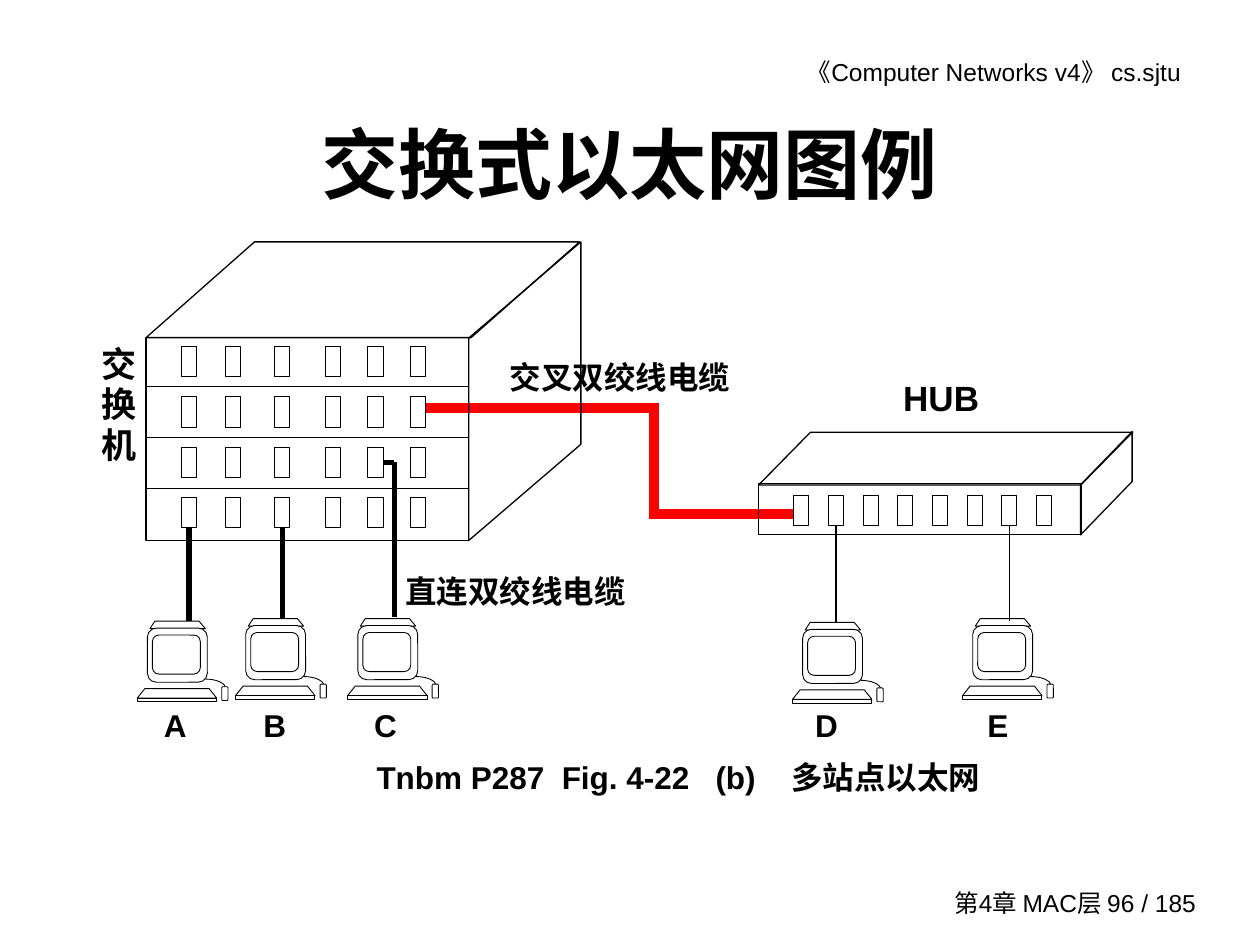
from math import cos, pi, sin

from lxml.etree import SubElement
from pptx import Presentation
from pptx.dml.color import RGBColor
from pptx.enum.shapes import MSO_CONNECTOR, MSO_SHAPE
from pptx.enum.text import MSO_ANCHOR, PP_ALIGN
from pptx.oxml.ns import qn
from pptx.util import Inches, Pt

BLACK = RGBColor(0, 0, 0)
WHITE = RGBColor(255, 255, 255)
RED = RGBColor(255, 0, 0)
COLUMNS, ROWS = 100, 75
BOTTOM, RIGHT = 2, 3


def write_text(frame, text, size=18, bold=True, font="Arial", align=PP_ALIGN.CENTER,
               anchor=MSO_ANCHOR.TOP, margins=(0.1, 0.05), spacing=None, tabs=()):
    """Fill a text frame; margins are in inches, tabs are (EMU, alignment) pairs."""
    frame.word_wrap = True
    frame.vertical_anchor = anchor
    frame.margin_left = frame.margin_right = Inches(margins[0])
    frame.margin_top = frame.margin_bottom = Inches(margins[1])
    paragraph = frame.paragraphs[0]
    paragraph.alignment = align
    if spacing:
        paragraph.line_spacing = spacing
    if tabs:
        tab_list = SubElement(paragraph._p.get_or_add_pPr(), qn("a:tabLst"))
        for position, kind in tabs:
            SubElement(tab_list, qn("a:tab"), pos=str(position), algn=kind)
    run = paragraph.add_run()
    run.text = text
    run.font.name, run.font.size, run.font.bold = font, Pt(size), bold
    run.font.color.rgb = BLACK


class Diagram:
    """Draws on one slide, with all lengths in grid columns and rows."""

    def __init__(self, presentation):
        self.slide = presentation.slides.add_slide(presentation.slide_layouts[5])
        self.shapes = self.slide.shapes
        self.column = presentation.slide_width / COLUMNS
        self.row = presentation.slide_height / ROWS

    def x(self, columns):
        return round(columns * self.column)

    def y(self, rows):
        return round(rows * self.row)

    def frame(self, left, top, width, height):
        return self.x(left), self.y(top), self.x(width), self.y(height)

    def title(self, text, box, **style):
        title = self.shapes.title
        title.left, title.top, title.width, title.height = self.frame(*box)
        write_text(title.text_frame, text, **style)

    def label(self, text, box, tabs=(), **style):
        stops = [(self.x(position), kind) for position, kind in tabs]
        write_text(self.shapes.add_textbox(*self.frame(*box)).text_frame, text,
                   tabs=stops, **style)

    def outline(self, shape, weight, fill):
        shape.shadow.inherit = False
        shape.line.color.rgb = BLACK
        shape.line.width = Pt(weight)
        if fill is None:
            shape.fill.background()
        else:
            shape.fill.solid()
            shape.fill.fore_color.rgb = fill
        return shape

    def block(self, box, kind=MSO_SHAPE.RECTANGLE, weight=0.75, fill=None, adjust=None):
        shape = self.shapes.add_shape(kind, *self.frame(*box))
        if adjust is not None:
            shape.adjustments[0] = adjust
        return self.outline(shape, weight, fill)

    def side_face(self, box, adjust):
        """Parallelogram turned to form the right side of a cabinet."""
        face = self.block(box, MSO_SHAPE.PARALLELOGRAM, adjust=adjust)
        face.rotation = 90
        face.element.spPr.find(qn("a:xfrm")).set("flipV", "1")

    def polygon(self, points, fill=WHITE, close=True):
        corners = [(self.x(across), self.y(down)) for across, down in points]
        builder = self.shapes.build_freeform(*corners[0])
        builder.add_line_segments(corners[1:], close=close)
        self.outline(builder.convert_to_shape(), 0.5, fill)

    def cable(self, start, end, color=BLACK, weight=3, port=None, side=BOTTOM):
        line = self.shapes.add_connector(
            MSO_CONNECTOR.STRAIGHT, self.x(start[0]), self.y(start[1]),
            self.x(end[0]), self.y(end[1]))
        if port is not None:
            line.begin_connect(port, side)
        line.line.color.rgb = color
        line.line.width = Pt(weight)
        SubElement(line.element.spPr, qn("a:effectLst"))

    def ports(self, lefts, top):
        return [self.block((left, top, 1.2, 2.4), weight=0.5) for left in lefts]

    def computer(self, left, top):
        def part(kind, across, down, width, height, adjust=None):
            self.block((left + across, top + down, width, height), kind, 0.5, WHITE, adjust)

        def trapezoid(*points):
            self.polygon([(left + across, top + down) for across, down in points])

        rounded = MSO_SHAPE.ROUNDED_RECTANGLE
        angles = [step * pi / 16 for step in range(9)]
        self.polygon([(left + 5.4 + 1.6 * sin(a), top + 5.3 - 0.7 * cos(a)) for a in angles],
                     fill=None, close=False)
        part(rounded, 6.7, 5.2, 0.5, 1.1)
        trapezoid((0, 6.1), (0.6, 5.35), (5.7, 5.35), (6.3, 6.1))
        part(MSO_SHAPE.RECTANGLE, 0, 6.1, 6.3, 0.3)
        trapezoid((1, 0.6), (1.4, 0), (4.9, 0), (5.4, 0.6))
        part(rounded, 0.8, 0.55, 4.75, 4.3, 0.165)
        part(rounded, 1.2, 1.1, 3.8, 3.1, 0.165)


def main():
    presentation = Presentation()
    presentation.slide_width, presentation.slide_height = Inches(10), Inches(7.5)
    diagram = Diagram(presentation)

    diagram.label("《Computer Networks v4》 cs.sjtu", (53.6, 4, 41.1, 3.4),
                  size=14, bold=False, align=PP_ALIGN.RIGHT)
    diagram.label("第4章 MAC层 96 / 185", (73, 70, 22.9, 3.3), size=14, bold=False,
                  align=PP_ALIGN.RIGHT, anchor=MSO_ANCHOR.MIDDLE)
    diagram.title("交换式以太网图例", (7.5, 6.7, 85, 12.5), size=44,
                  anchor=MSO_ANCHOR.MIDDLE, margins=(0.02, 0.01))

    # Crossover cable from the switch to the hub
    for start, end in [((51.5, 40.8), (63, 40.8)), ((33.8, 32.4), (52.3, 32.4)),
                       ((51.9, 32), (51.9, 41.2))]:
        diagram.cable(start, end, RED, 6)

    # Hub
    diagram.block((60.2, 34.3, 29.7, 4.2), MSO_SHAPE.PARALLELOGRAM, adjust=0.984)
    diagram.block((60.2, 38.4, 25.6, 4))
    diagram.side_face((83.7, 36.3, 8.2, 4.1), 1.033)
    hub_ports = diagram.ports([63 + 2.75 * n for n in range(8)], 39.3)

    # Switch with four rows of ports
    diagram.block((11.6, 26.8, 25.6, 16.1))
    diagram.side_face((29.8, 26.6, 23.7, 8.9), 0.858)
    diagram.block((11.6, 19.2, 34.4, 7.6), MSO_SHAPE.PARALLELOGRAM, adjust=1.133)
    for top in (30.7, 34.7):
        diagram.block((11.6, top, 25.6, 4.05))
    port_lefts = (14.4, 17.9, 21.8, 25.8, 29.2, 32.6)
    switch_ports = [diagram.ports(port_lefts, 27.5 + 4 * n) for n in range(4)]

    # Stations and their cables
    for left, top in [(10.9, 49.3), (18.7, 49.1), (27.6, 49.1), (62.9, 49.4), (76.4, 49.1)]:
        diagram.computer(left, top)
    for port, across, down, weight in [
            (switch_ports[3][0], 15, 49.3, 3), (switch_ports[3][2], 22.4, 49.1, 3),
            (hub_ports[1], 66.35, 49.4, 0.75), (hub_ports[6], 80.1, 49.3, 0.75)]:
        diagram.cable((across, 41.8), (across, down), weight=weight, port=port)
    diagram.cable((30.4, 36.7), (31.3, 36.7), port=switch_ports[2][4], side=RIGHT)
    diagram.cable((31.3, 36.7), (31.3, 49))

    # Labels
    diagram.label("A\tB\tC\tD\tE", (12.6, 56.2, 71.8, 3.4), align=PP_ALIGN.LEFT,
                  margins=(0.04, 0), spacing=0.96,
                  tabs=[(stop, "ctr") for stop in (8.8, 17.6, 52.6, 66.2)])
    diagram.label("HUB", (70.9, 29.9, 7.6, 4.5), size=20, margins=(0.04, 0))
    diagram.label("交换机", (7.2, 27.4, 4.5, 12.1), size=20, font="Times New Roman",
                  margins=(0.04, 0), spacing=0.96)
    diagram.label("交叉双绞线电缆", (38.2, 27.9, 22, 4))
    diagram.label("直连双绞线电缆", (29.9, 44.9, 22, 4))
    diagram.label("Tnbm P287\tFig. 4-22\t(b)\t多站点以太网", (28.9, 59.7, 57.5, 4),
                  align=PP_ALIGN.LEFT, tabs=[(stop, "l") for stop in (14.7, 26.9, 32.9)])

    presentation.save("out.pptx")


if __name__ == "__main__":
    main()
